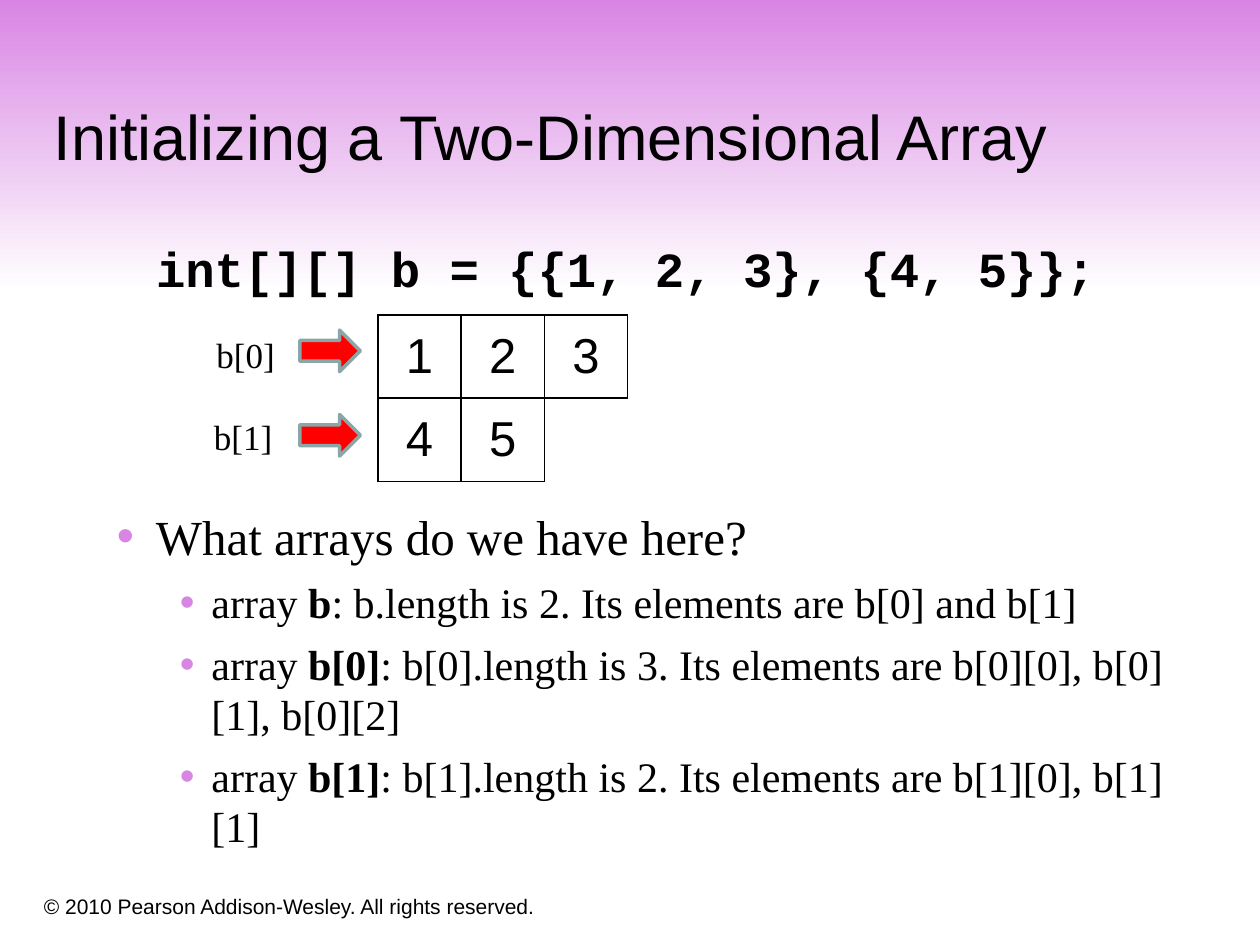
"""Build the slide on initializing a two-dimensional array."""
import lxml.etree
import pptx
import pptx.dml.color
import pptx.enum.shapes
import pptx.enum.text
import pptx.oxml.ns
import pptx.util

Inches = pptx.util.Inches
Pt = pptx.util.Pt
RGBColor = pptx.dml.color.RGBColor
ANCHOR = pptx.enum.text.MSO_ANCHOR
SHAPE = pptx.enum.shapes.MSO_SHAPE
qn = pptx.oxml.ns.qn

BLACK = RGBColor(0, 0, 0)
WHITE = RGBColor(255, 255, 255)
ORCHID = RGBColor(0xD8, 0x85, 0xE3)
RED = RGBColor(255, 0, 0)
SLATE = RGBColor(0x8A, 0xA6, 0xA8)
SERIF = "Times New Roman"


def add_text(left, top, width, height, text, font, size, anchor=ANCHOR.TOP, wrap=True):
    box = page.shapes.add_textbox(Inches(left), Inches(top), Inches(width), Inches(height))
    box.text_frame.word_wrap = wrap
    box.text_frame.vertical_anchor = anchor
    para = box.text_frame.paragraphs[0]
    para.text = text
    style_font(para.font, font, size)
    return box


def style_font(font, name, size):
    font.name = name
    font.size = Pt(size)
    font.color.rgb = BLACK


deck = pptx.Presentation()
deck.slide_width = Inches(10)
deck.slide_height = Inches(7.5)
page = deck.slides.add_slide(deck.slide_layouts[6])

banner = page.shapes.add_shape(SHAPE.RECTANGLE, 0, Inches(-0.01), Inches(10), Inches(2.33))
banner.shadow.inherit = False
banner.line.fill.background()
banner.fill.gradient()
banner.fill.gradient_angle = 270
for stop, color in zip(banner.fill.gradient_stops, (ORCHID, WHITE)):
    stop.color.rgb = color

add_text(0.25, 6.92, 6.08, 0.42, "© 2010 Pearson Addison-Wesley. All rights reserved.",
         "Arial", 12, ANCHOR.BOTTOM)
add_text(0.33, 0.33, 9.42, 1.09, "Initializing a Two-Dimensional Array", "Arial", 36, ANCHOR.BOTTOM)
code = add_text(1.14, 1.84, 8.26, 0.55, "int[][] b = {{1, 2, 3}, {4, 5}};", "Courier New", 28)
code.text_frame.paragraphs[0].font.bold = True

# level: left margin, hanging indent, size
LEVELS = {1: (0.81, 0.31, 28), 2: (1.25, 0.25, 24)}
bullets = [
    (1, "What arrays do we have here?", "", ""),
    (2, "array ", "b", ": b.length is 2. Its elements are b[0] and b[1]"),
    (2, "array ", "b[0]", ": b[0].length is 3. Its elements are b[0][0], b[0][1], b[0][2]"),
    (2, "array ", "b[1]", ": b[1].length is 2. Its elements are b[1][0], b[1][1]"),
]
body = page.shapes.add_textbox(Inches(0.33), Inches(3.97), Inches(9.07), Inches(2.78))
frame = body.text_frame
frame.word_wrap = True
frame.margin_right = 0
for index, (level, lead, strong, rest) in enumerate(bullets):
    para = frame.add_paragraph() if index else frame.paragraphs[0]
    margin, hanging, size = LEVELS[level]
    if index:
        para.space_before = Pt(6.5)
    props = para._p.get_or_add_pPr()
    props.set("marL", str(Inches(margin)))
    props.set("indent", str(-Inches(hanging)))
    bullet_color = lxml.etree.SubElement(props, qn("a:buClr"))
    lxml.etree.SubElement(bullet_color, qn("a:srgbClr"), val=str(ORCHID))
    lxml.etree.SubElement(props, qn("a:buFont"), typeface="Arial")
    lxml.etree.SubElement(props, qn("a:buChar"), char="•")
    style_font(para.font, SERIF, size)
    for text, bold in ((lead, False), (strong, True), (rest, False)):
        if text:
            span = para.add_run()
            span.text = text
            span.font.bold = bold

CELL = 0.66
rows = [["1", "2", "3"], ["4", "5", ""]]
grid = page.shapes.add_table(2, 3, Inches(3), Inches(2.5), Inches(3 * CELL), Inches(2 * CELL)).table
grid.first_row = False
grid.horz_banding = False
for column in grid.columns:
    column.width = Inches(CELL)
for row_index, row in enumerate(rows):
    grid.rows[row_index].height = Inches(CELL)
    for column_index, value in enumerate(row):
        cell = grid.cell(row_index, column_index)
        cell.fill.background()
        cell.vertical_anchor = ANCHOR.MIDDLE
        cell.margin_left = cell.margin_right = Inches(0.08)
        cell.margin_top = cell.margin_bottom = 0
        para = cell.text_frame.paragraphs[0]
        para.alignment = pptx.enum.text.PP_ALIGN.CENTER
        para.text = value
        style_font(para.font, "Arial", 28)
        props = cell._tc.get_or_add_tcPr()
        for position, side in enumerate("LRTB"):
            border = lxml.etree.Element(qn(f"a:ln{side}"), w=str(Pt(1)))
            props.insert(position, border)
            if value or side in "LT":
                paint = lxml.etree.SubElement(border, qn("a:solidFill"))
                lxml.etree.SubElement(paint, qn("a:srgbClr"), val=str(BLACK))
            else:
                lxml.etree.SubElement(border, qn("a:noFill"))

for label, left, top, arrow_top in (("b[0]", 1.62, 2.6, 2.62), ("b[1]", 1.6, 3.25, 3.29)):
    add_text(left, top, 0.74, 0.44, label, SERIF, 20, wrap=False)
    arrow = page.shapes.add_shape(SHAPE.RIGHT_ARROW, Inches(2.38), Inches(arrow_top),
                                  Inches(0.48), Inches(0.33))
    arrow.shadow.inherit = False
    arrow.fill.solid()
    arrow.fill.fore_color.rgb = RED
    arrow.line.color.rgb = SLATE
    arrow.line.width = Pt(2)

deck.save("out.pptx")
